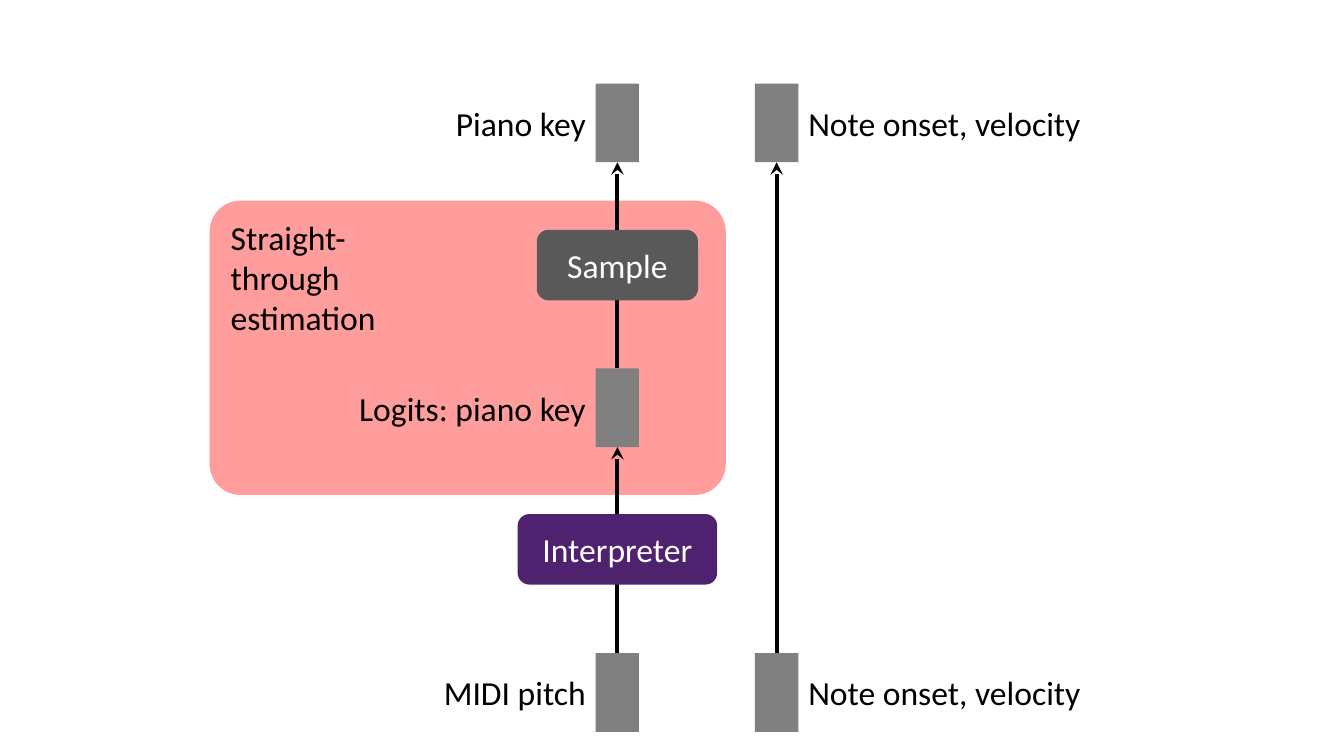
from lxml.etree import SubElement
from pptx import Presentation
from pptx.dml.color import RGBColor
from pptx.enum.shapes import MSO_CONNECTOR as Connector, MSO_SHAPE as Shape
from pptx.enum.text import MSO_ANCHOR as Anchor, MSO_AUTO_SIZE as AutoSize, PP_ALIGN as Align
from pptx.oxml.ns import qn
from pptx.util import Inches, Pt

BLACK = RGBColor(0x00, 0x00, 0x00)
WHITE = RGBColor(0xFF, 0xFF, 0xFF)
TOKEN_GRAY = RGBColor(0x80, 0x80, 0x80)
SAMPLE_GRAY = RGBColor(0x59, 0x59, 0x59)
PURPLE = RGBColor(0x4F, 0x22, 0x70)
PINK = RGBColor(0xFF, 0x9D, 0x9D)

GRID = 0.1
COLUMNS, ROWS = 133.33, 75
TOKEN_WIDTH, TOKEN_HEIGHT = 4.3, 7.8
MODULE_HEIGHT = 7
LABEL_HEIGHT = 5
KEY_LANE, VELOCITY_LANE = 61.25, 77.05
OUTPUT_ROW, LOGITS_ROW, INPUT_ROW = (8.3 + 28.25 * step for step in range(3))


class Diagram:
    """Draws flow elements on one slide, measured in grid columns and rows."""

    def __init__(self, slide):
        self.shapes = slide.shapes
        self.font_name = "Calibri"
        self.font_size = Pt(24)
        self.line_width = Pt(3)

    def place(self, *cells):
        return [Inches(cell * GRID) for cell in cells]

    def set_text(self, box, text, align, color):
        box.text_frame.word_wrap = True
        para = box.text_frame.paragraphs[0]
        para.text = text
        para.alignment = align
        para.font.name = self.font_name
        para.font.size = self.font_size
        para.font.color.rgb = color

    def block(self, kind, left, top, width, height, fill):
        box = self.shapes.add_shape(kind, *self.place(left, top, width, height))
        box.shadow.inherit = False
        box.fill.solid()
        box.fill.fore_color.rgb = fill
        box.line.fill.background()
        return box

    def panel(self, left, top, width, height, fill, rounding):
        box = self.block(Shape.ROUNDED_RECTANGLE, left, top, width, height, fill)
        box.adjustments[0] = rounding

    def module(self, text, lane, top, width, fill):
        box = self.block(Shape.ROUNDED_RECTANGLE, lane - width / 2, top,
                         width, MODULE_HEIGHT, fill)
        box.text_frame.vertical_anchor = Anchor.MIDDLE
        self.set_text(box, text, Align.CENTER, WHITE)

    def label(self, text, left, top, width, height=LABEL_HEIGHT, align=Align.LEFT):
        box = self.shapes.add_textbox(*self.place(left, top, width, height))
        self.set_text(box, text, align, BLACK)
        box.text_frame.auto_size = AutoSize.SHAPE_TO_FIT_TEXT

    def token(self, text, lane, top, label_width, align):
        left = lane - TOKEN_WIDTH / 2
        self.block(Shape.RECTANGLE, left, top, TOKEN_WIDTH, TOKEN_HEIGHT, TOKEN_GRAY)
        label_left = left - label_width if align == Align.RIGHT else left + TOKEN_WIDTH
        label_top = top + (TOKEN_HEIGHT - LABEL_HEIGHT) / 2
        self.label(text, label_left, label_top, label_width, align=align)

    def arrow(self, lane, start, end):
        line = self.shapes.add_connector(
            Connector.STRAIGHT, *self.place(lane, start, lane, end))
        line.line.color.rgb = BLACK
        line.line.width = self.line_width
        properties = line.element.spPr
        SubElement(properties.find(qn("a:ln")), qn("a:tailEnd"), type="stealth")
        SubElement(properties, qn("a:effectLst"))


def main():
    deck = Presentation()
    deck.slide_width = Inches(COLUMNS * GRID)
    deck.slide_height = Inches(ROWS * GRID)
    diagram = Diagram(deck.slides.add_slide(deck.slide_layouts[6]))

    diagram.panel(20.8, 19.9, 51.2, 29.2, PINK, 0.105)
    diagram.label("Straight-through estimation", 21.9, 21, 19, 13.1)

    for lane, start, target in (
        (KEY_LANE, LOGITS_ROW, OUTPUT_ROW),
        (KEY_LANE, INPUT_ROW, LOGITS_ROW),
        (VELOCITY_LANE, INPUT_ROW, OUTPUT_ROW),
    ):
        diagram.arrow(lane, start, target + TOKEN_HEIGHT)

    diagram.module("Sample", KEY_LANE, 22.8, 16, SAMPLE_GRAY)
    diagram.module("Interpreter", KEY_LANE, 51, 19.8, PURPLE)

    for text, row, label_width in (
        ("Piano key", OUTPUT_ROW, 16.2),
        ("Logits: piano key", LOGITS_ROW, 26.4),
        ("MIDI pitch", INPUT_ROW, 17.6),
    ):
        diagram.token(text, KEY_LANE, row, label_width, Align.RIGHT)
    for row in (OUTPUT_ROW, INPUT_ROW):
        diagram.token("Note onset, velocity", VELOCITY_LANE, row, 29.8, Align.LEFT)

    deck.save("out.pptx")


if __name__ == "__main__":
    main()
